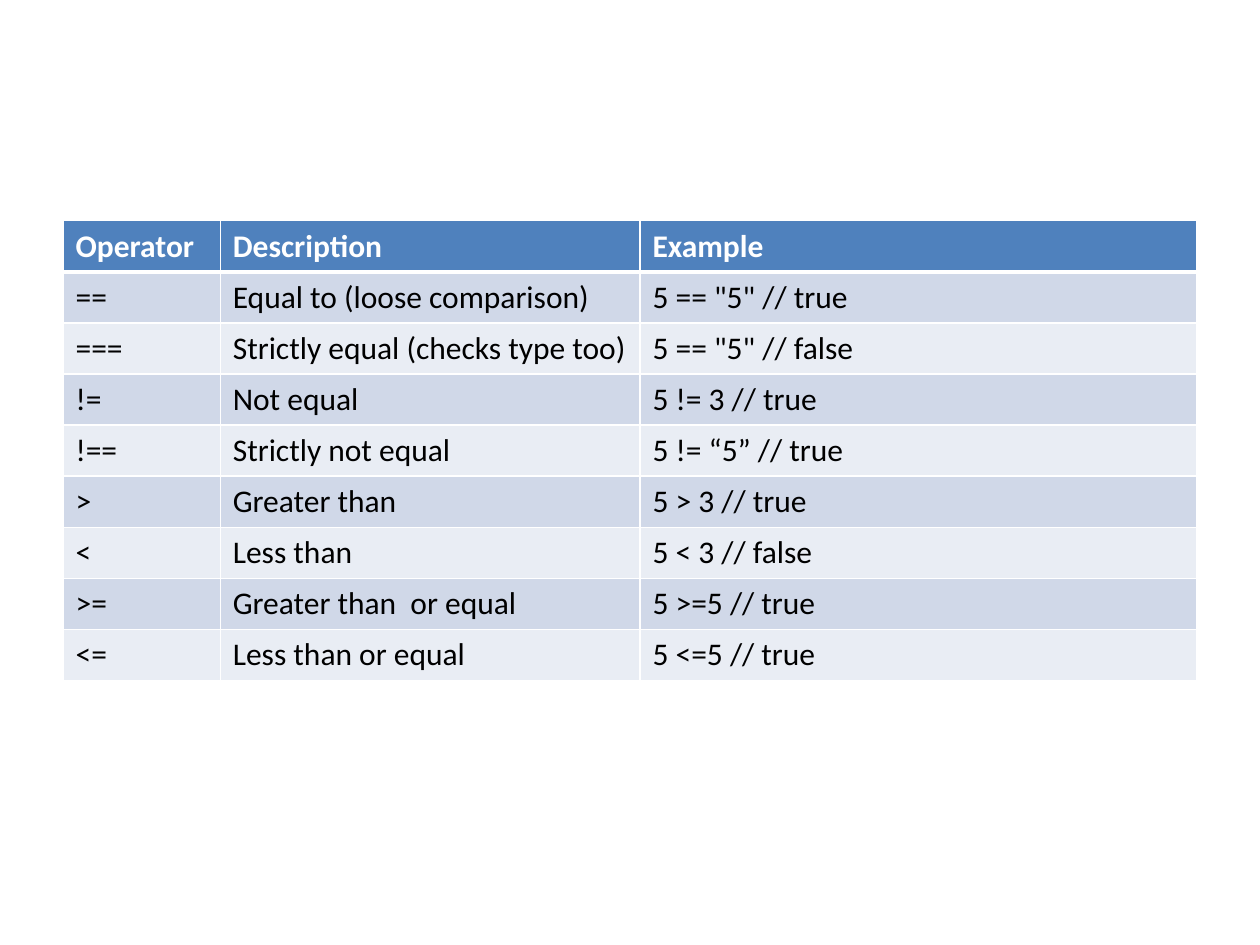
"""Build a slide with a table of comparison operators."""
from dataclasses import dataclass

from lxml import etree
from pptx import Presentation
from pptx import util as u
from pptx.dml.color import RGBColor
from pptx.enum import text
from pptx.oxml import ns


@dataclass(frozen=True)
class Theme:
    font: str = "Calibri"
    size: int = 18
    header: str = "4F81BD"
    bands: tuple = ("D0D8E8", "E9EDF4")
    header_text: str = "FFFFFF"
    body_text: str = "000000"
    border: str = "FFFFFF"
    thin: int = 1
    thick: int = 3


def add_border(cell, position, side, points):
    line = etree.Element(ns.qn(f"a:ln{side}"), w=str(u.Pt(points)))
    fill = etree.SubElement(line, ns.qn("a:solidFill"))
    etree.SubElement(fill, ns.qn("a:srgbClr"), val=theme.border)
    cell._tc.get_or_add_tcPr().insert(position, line)


theme = Theme()
rows = [
    ("Operator", "Description", "Example"),
    ("==", "Equal to (loose comparison)", '5 == "5" // true'),
    ("===", "Strictly equal (checks type too)", '5 == "5" // false'),
    ("!=", "Not equal", "5 != 3 // true"),
    ("!==", "Strictly not equal", "5 != “5” // true"),
    (">", "Greater than", "5 > 3 // true"),
    ("<", "Less than", "5 < 3 // false"),
    (">=", "Greater than  or equal", "5 >=5 // true"),
    ("<=", "Less than or equal", "5 <=5 // true"),
]
column_widths = (3.17, 8.46, 11.23)
row_height = 1.03

deck = Presentation()
deck.slide_width, deck.slide_height = u.Cm(25.4), u.Cm(19.05)
page = deck.slides.add_slide(deck.slide_layouts[6])
table = page.shapes.add_table(
    len(rows), len(column_widths), u.Cm(1.27), u.Cm(4.45),
    u.Cm(sum(column_widths)), u.Cm(row_height * len(rows)),
).table
table.horz_banding = False

for column, width in zip(table.columns, column_widths):
    column.width = u.Cm(width)

for row_index, row in enumerate(rows):
    is_header = row_index == 0
    table.rows[row_index].height = u.Cm(row_height)
    fill_color = theme.header if is_header else theme.bands[(row_index - 1) % 2]
    text_color = theme.header_text if is_header else theme.body_text
    for column_index, wording in enumerate(row):
        cell = table.cell(row_index, column_index)
        cell.vertical_anchor = text.MSO_ANCHOR.TOP
        cell.fill.solid()
        cell.fill.fore_color.rgb = RGBColor.from_string(fill_color)
        top = theme.thick if row_index == 1 else theme.thin
        bottom = theme.thick if is_header else theme.thin
        widths = {"L": theme.thin, "R": theme.thin, "T": top, "B": bottom}
        for position, (side, points) in enumerate(widths.items()):
            add_border(cell, position, side, points)
        span = cell.text_frame.paragraphs[0].add_run()
        span.text = wording
        span.font.name = theme.font
        span.font.size = u.Pt(theme.size)
        span.font.bold = is_header
        span.font.color.rgb = RGBColor.from_string(text_color)

deck.save("out.pptx")
